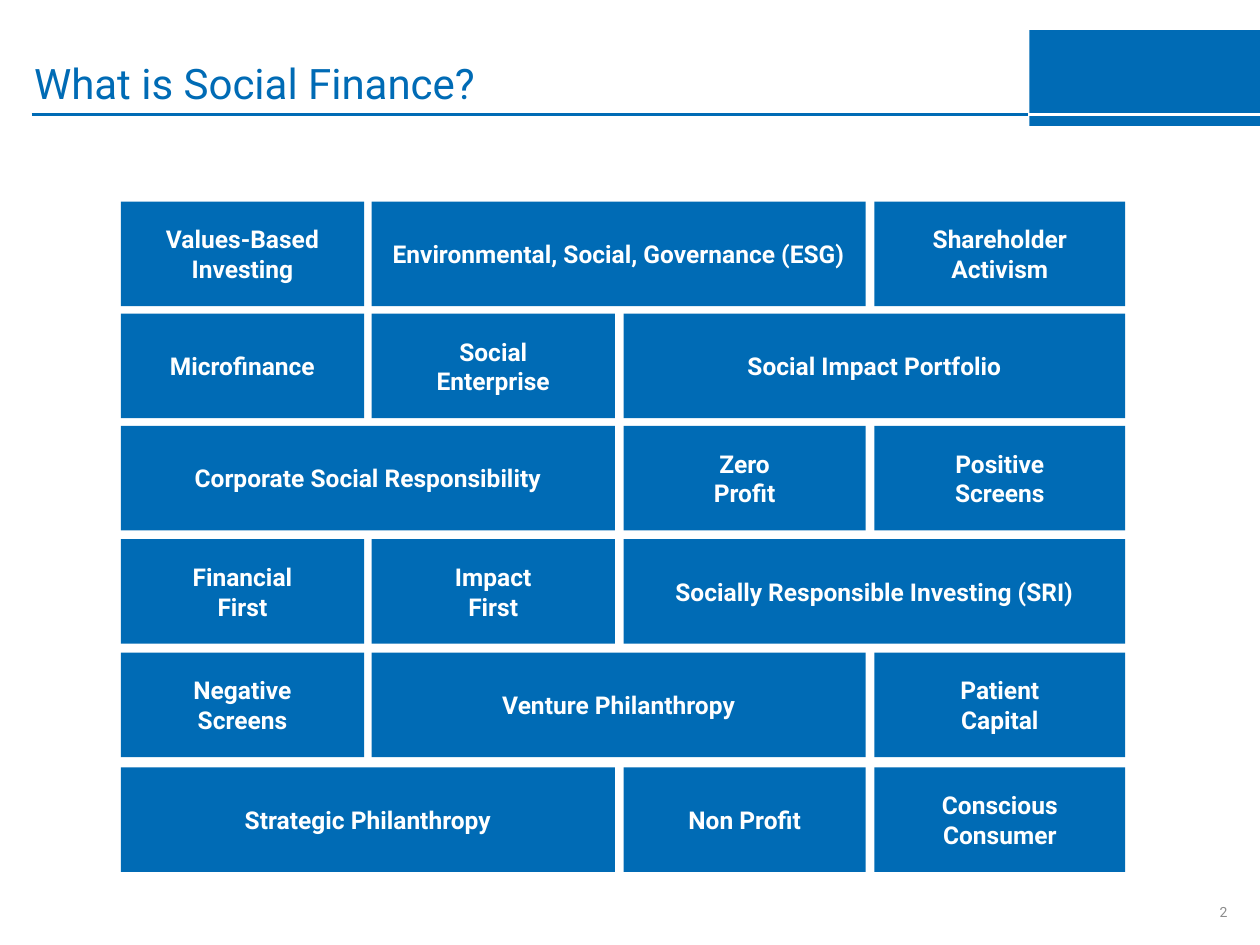
"""Build the slide that lays out the terms of social finance as a wall of blocks."""
import pptx
import pptx.dml.color
import pptx.enum.shapes
import pptx.enum.text
import pptx.oxml.ns
import pptx.util
from lxml import etree
from pptx.util import Inches

BLUE = pptx.dml.color.RGBColor(0x00, 0x6B, 0xB5)
WHITE = pptx.dml.color.RGBColor(0xFF, 0xFF, 0xFF)
GRAY = pptx.dml.color.RGBColor(0x8C, 0x8C, 0x8C)
FONT = "Roboto"
ALIGN = pptx.enum.text.PP_ALIGN
ANCHOR = pptx.enum.text.MSO_ANCHOR

COLUMN_LEFTS = [0.96, 2.95, 4.95, 6.94]
COLUMN_RIGHTS = [2.89, 4.88, 6.87, 8.93]
ROW_TOPS = [1.6, 2.49, 3.38, 4.28, 5.18, 6.09]
BLOCK_HEIGHT = 0.83
TERM_ROWS = [
    [("Values-Based\nInvesting", 1), ("Environmental, Social, Governance (ESG)", 2),
     ("Shareholder Activism", 1)],
    [("Microfinance", 1), ("Social\nEnterprise", 1), ("Social Impact Portfolio", 2)],
    [("Corporate Social Responsibility", 2), ("Zero\nProfit", 1), ("Positive\nScreens", 1)],
    [("Financial\nFirst", 1), ("Impact\nFirst", 1), ("Socially Responsible Investing (SRI)", 2)],
    [("Negative\nScreens", 1), ("Venture Philanthropy", 2), ("Patient\nCapital", 1)],
    [("Strategic Philanthropy", 2), ("Non Profit", 1), ("Conscious Consumer", 1)],
]


def write_text(shape, text, size, color, align, anchor, bold=False):
    """Fill a shape with uniformly formatted paragraphs."""
    frame = shape.text_frame
    frame.word_wrap = True
    frame.auto_size = pptx.enum.text.MSO_AUTO_SIZE.NONE
    frame.vertical_anchor = anchor
    frame.text = text
    for para in frame.paragraphs:
        para.alignment = align
        para.font.name = FONT
        para.font.size = pptx.util.Pt(size)
        para.font.bold = bold
        para.font.color.rgb = color


def add_block(page, left, top, width, height):
    """Add a plain blue rectangle."""
    block = page.shapes.add_shape(
        pptx.enum.shapes.MSO_SHAPE.RECTANGLE,
        Inches(left), Inches(top), Inches(width), Inches(height))
    block.shadow.inherit = False
    block.fill.solid()
    block.fill.fore_color.rgb = BLUE
    block.line.fill.background()
    return block


def add_rule(page, left, right, top, color):
    """Add a horizontal line without a shadow."""
    rule = page.shapes.add_connector(
        pptx.enum.shapes.MSO_CONNECTOR.STRAIGHT,
        Inches(left), Inches(top), Inches(right), Inches(top))
    rule.line.color.rgb = color
    rule.line.width = pptx.util.Pt(1.5)
    properties = rule._element.spPr
    etree.SubElement(properties, pptx.oxml.ns.qn("a:effectLst"))


def add_header(page):
    """Add the header band and place the title."""
    add_rule(page, 0.25, 10, 0.91, BLUE)
    add_block(page, 8.17, 0.24, 1.83, 0.76)
    add_rule(page, 8.16, 10, 0.91, WHITE)
    title = page.shapes.title
    title.left, title.top = Inches(0.17), Inches(0.11)
    title.width, title.height = Inches(7.99), Inches(0.8)
    write_text(title, "What is Social Finance?", 24, BLUE, ALIGN.LEFT, ANCHOR.BOTTOM)


def add_term_wall(page):
    """Add the rows of terms, each spanning one or two columns."""
    for top, terms in zip(ROW_TOPS, TERM_ROWS):
        column = 0
        for term, span in terms:
            left = COLUMN_LEFTS[column]
            column += span
            width = COLUMN_RIGHTS[column - 1] - left
            block = add_block(page, left, top, width, BLOCK_HEIGHT)
            write_text(block, term, 14, WHITE, ALIGN.CENTER, ANCHOR.MIDDLE, bold=True)


def add_page_number(page):
    """Add the page number at the lower right."""
    box = page.shapes.add_textbox(Inches(8.92), Inches(6.95), Inches(0.92), Inches(0.4))
    write_text(box, "2", 8, GRAY, ALIGN.RIGHT, ANCHOR.BOTTOM)


def main():
    """Create the deck and save it."""
    deck = pptx.Presentation()
    deck.slide_width, deck.slide_height = Inches(10), Inches(7.5)
    page = deck.slides.add_slide(deck.slide_layouts.get_by_name("Title Only"))
    add_header(page)
    add_term_wall(page)
    add_page_number(page)
    deck.save("out.pptx")


if __name__ == "__main__":
    main()
